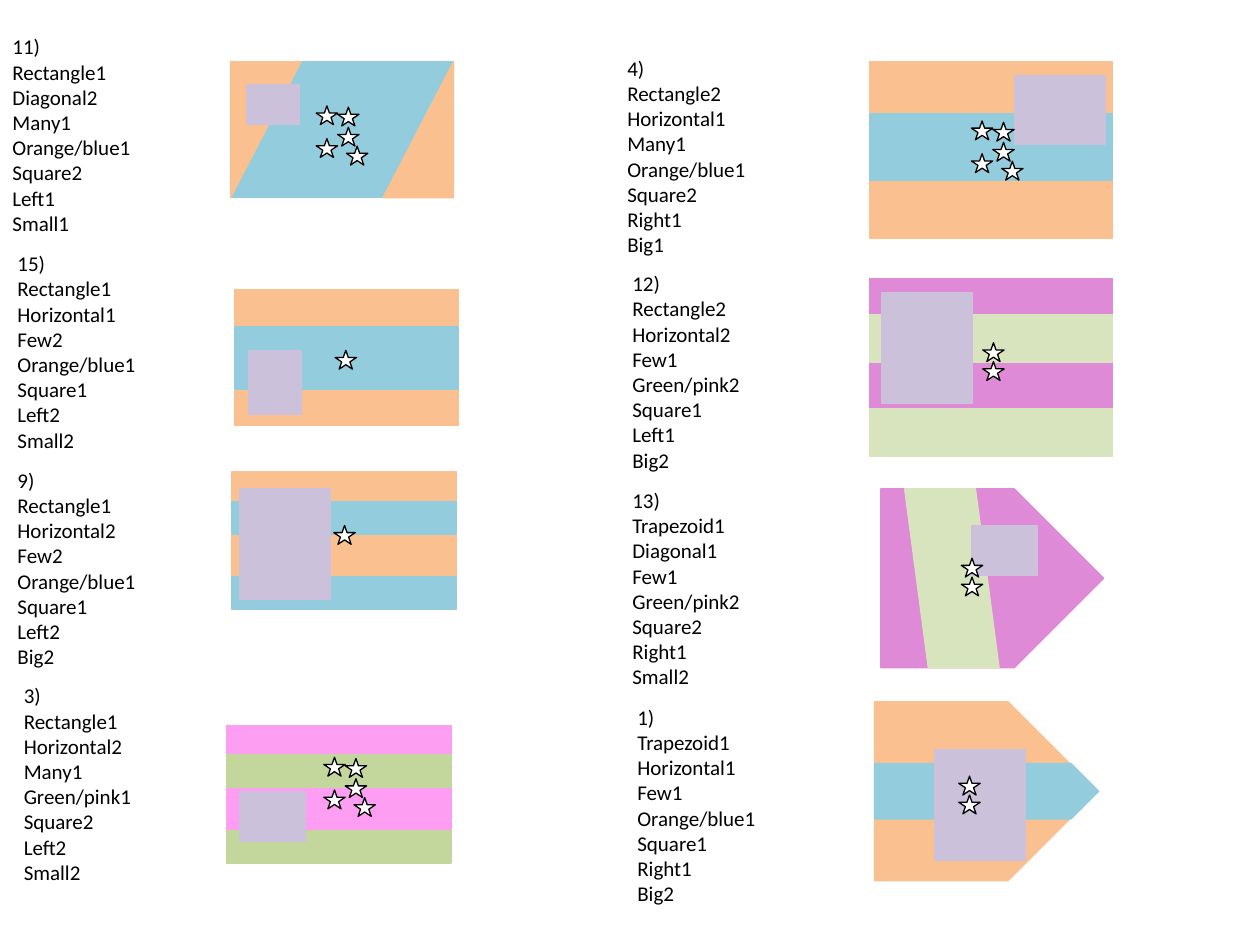
import pptx
import pptx.util
import pptx.dml.color
import pptx.enum.shapes

Inches, Pt = pptx.util.Inches, pptx.util.Pt
MSO = pptx.enum.shapes.MSO_SHAPE
COLORS = {"blue": "93CDDD", "orange": "FAC090", "lilac": "CCC1DA",
          "pink": "FE9EF3", "green": "C3D69B", "orchid": "DE8AD6",
          "lime": "D7E4BD", "white": "FFFFFF", "black": "000000"}
KINDS = {"rect": MSO.RECTANGLE, "triangle": MSO.RIGHT_TRIANGLE,
         "pentagon": MSO.PENTAGON, "slant": MSO.PARALLELOGRAM}

# Labels: left, top, number and properties
LABELS = [
    (0, 0.22, "11) Rectangle1 Diagonal2 Many1 Orange/blue1 Square2 Left1 Small1"),
    (0.04, 1.94, "15) Rectangle1 Horizontal1 Few2 Orange/blue1 Square1 Left2 Small2"),
    (0.04, 3.66, "9) Rectangle1 Horizontal2 Few2 Orange/blue1 Square1 Left2 Big2"),
    (0.09, 5.37, "3) Rectangle1 Horizontal2 Many1 Green/pink1 Square2 Left2 Small2"),
    (4.88, 0.39, "4) Rectangle2 Horizontal1 Many1 Orange/blue1 Square2 Right1 Big1"),
    (4.92, 2.1, "12) Rectangle2 Horizontal2 Few1 Green/pink2 Square1 Left1 Big2"),
    (4.92, 3.82, "13) Trapezoid1 Diagonal1 Few1 Green/pink2 Square2 Right1 Small2"),
    (4.96, 5.54, "1) Trapezoid1 Horizontal1 Few1 Orange/blue1 Square1 Right1 Big2"),
]

# Star clusters: offsets from the cluster's corner
STARS = {
    "one": [(0, 0)],
    "few": [(0, 0.15), (0, 0)],
    "many": [(0, 0), (0.17, 0.17), (0.17, 0.01), (0, 0.26), (0.24, 0.32)],
}
STAR_SIZE = (0.17, 0.15)

# Flags, back to front: (kind, colour, left, top, width, height, flip)
# or (star cluster, left, top)
FLAGS = {
    11: [("rect", "blue", 1.83, 0.49, 1.77, 1.08),
         ("triangle", "orange", 3.04, 0.49, 0.56, 1.08, "flipH"),
         ("triangle", "orange", 1.83, 0.49, 0.56, 1.08, "flipV"),
         ("many", 2.51, 0.84),
         ("rect", "lilac", 1.96, 0.67, 0.42, 0.32)],
    15: [("rect", "orange", 1.86, 2.3, 1.78, 1.08),
         ("rect", "blue", 1.86, 2.59, 1.78, 0.5),
         ("one", 2.66, 2.78),
         ("rect", "lilac", 1.97, 2.78, 0.42, 0.51)],
    9: [("rect", "orange", 1.84, 3.74, 1.78, 1.08),
        ("rect", "blue", 1.84, 3.98, 1.78, 0.26),
        ("rect", "blue", 1.84, 4.58, 1.78, 0.26),
        ("one", 2.65, 4.17),
        ("rect", "lilac", 1.9, 3.88, 0.72, 0.88)],
    3: [("rect", "pink", 1.8, 5.76, 1.78, 1.08),
        ("rect", "green", 1.8, 5.99, 1.78, 0.26),
        ("rect", "green", 1.8, 6.59, 1.78, 0.26),
        ("many", 2.57, 6.01),
        ("rect", "lilac", 1.9, 6.28, 0.52, 0.4)],
    4: [("rect", "orange", 6.9, 0.49, 1.93, 1.4),
        ("rect", "blue", 6.9, 0.9, 1.93, 0.53),
        ("rect", "lilac", 8.05, 0.6, 0.72, 0.55),
        ("many", 7.71, 0.96)],
    12: [("rect", "orchid", 6.9, 2.21, 1.93, 1.4),
         ("rect", "lime", 6.9, 2.5, 1.93, 0.38),
         ("rect", "lime", 6.9, 3.24, 1.93, 0.38),
         ("few", 7.8, 2.72),
         ("rect", "lilac", 7, 2.32, 0.72, 0.88)],
    13: [("pentagon", "orchid", 6.99, 3.88, 1.77, 1.42),
         ("slant", "lime", 7.18, 3.88, 0.75, 1.42, "flipH"),
         ("rect", "lilac", 7.71, 4.17, 0.52, 0.4),
         ("few", 7.63, 4.43)],
    1: [("pentagon", "orange", 6.94, 5.57, 1.77, 1.42),
        ("pentagon", "blue", 6.94, 6.06, 1.78, 0.44),
        ("rect", "lilac", 7.42, 5.95, 0.72, 0.88),
        ("few", 7.61, 6.16)],
}


def rgb(name):
    return pptx.dml.color.RGBColor.from_string(COLORS[name])


def add_part(shapes, kind, at, fill, line, flip=None):
    sp = shapes.add_shape(kind, *map(Inches, at))
    sp.shadow.inherit = False
    sp.fill.solid()
    sp.fill.fore_color.rgb = rgb(fill)
    sp.line.color.rgb = rgb(line)
    sp.line.width = Pt(0.75)
    if flip:
        sp._element.spPr.xfrm.set(flip, "1")


def add_stars(shapes, cluster, left, top):
    offsets = STARS[cluster]
    if len(offsets) > 1:
        shapes = shapes.add_group_shape().shapes
    for dx, dy in offsets:
        add_part(shapes, MSO.STAR_5_POINT, (left + dx, top + dy, *STAR_SIZE),
                 "white", "black")


def add_label(shapes, left, top, words):
    tf = shapes.add_textbox(*map(Inches, (left, top, 1.21, 1.72))).text_frame
    tf.word_wrap = True
    for i, word in enumerate(words.split()):
        p = tf.paragraphs[0] if i == 0 else tf.add_paragraph()
        r = p.add_run()
        r.text = word
        for key, value in {"size": Pt(12), "name": "Calibri"}.items():
            setattr(r.font, key, value)
        r.font.color.rgb = rgb("black")


prs = pptx.Presentation()
prs.slide_width, prs.slide_height = Inches(10), Inches(7.5)
s = prs.slides.add_slide(prs.slide_layouts[6])

# Labels
for label in LABELS:
    add_label(s.shapes, *label)

# Flags
for parts in FLAGS.values():
    for part in parts:
        if part[0] in STARS:
            add_stars(s.shapes, *part)
        else:
            kind, color, *at = part
            add_part(s.shapes, KINDS[kind], at[:4], color, color, *at[4:])

prs.save("out.pptx")
